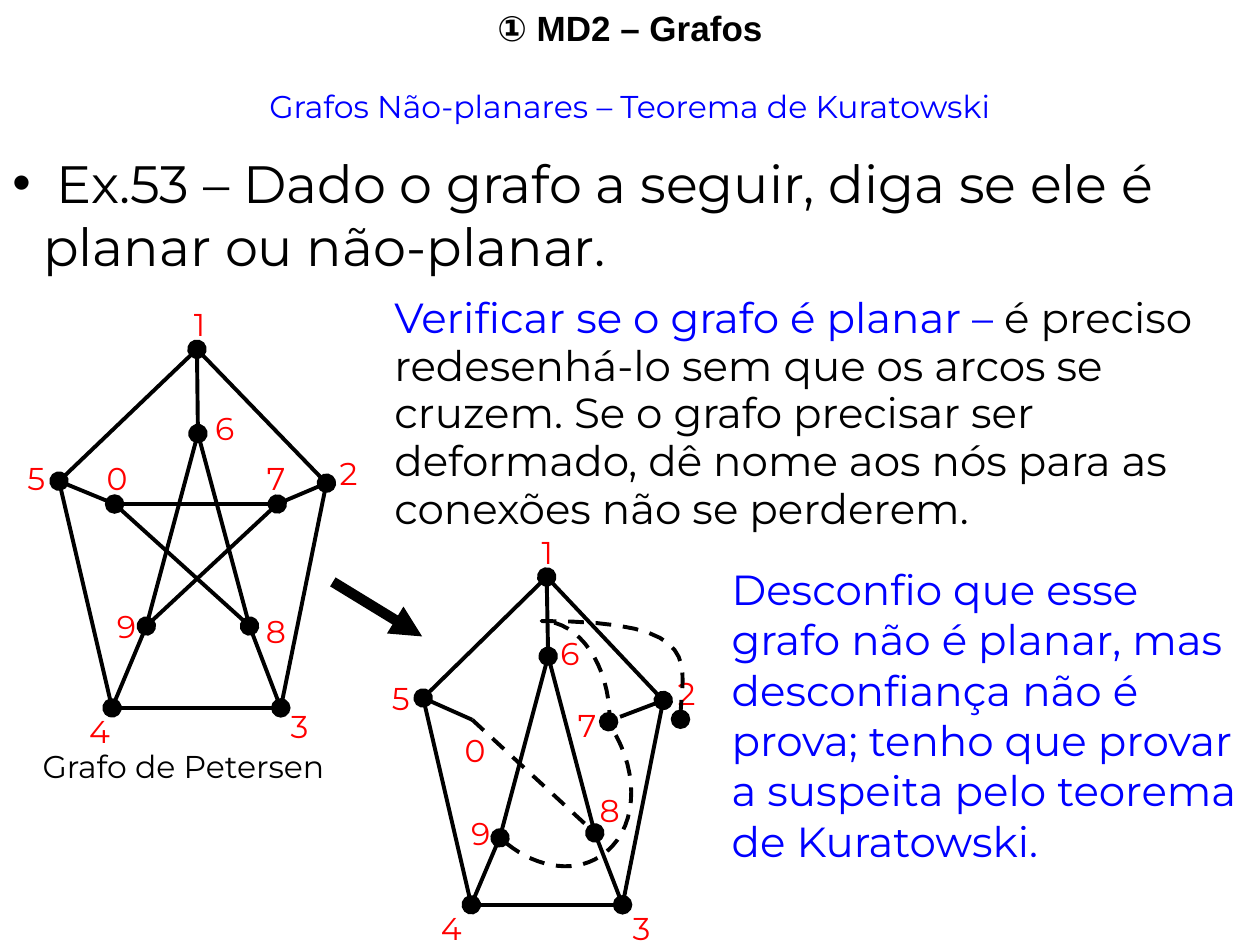
from lxml.etree import SubElement
from pptx import Presentation
from pptx.dml.color import RGBColor
from pptx.enum.dml import MSO_LINE
from pptx.enum.shapes import MSO_CONNECTOR as Connector
from pptx.enum.text import PP_ALIGN as Align
from pptx.oxml.ns import qn
from pptx.util import Cm, Pt

COLORS = {"black": "000000", "blue": "0000FF", "red": "FF0000"}
FONT = "Montserrat"

# Edges as (two vertices, vertices drawn as dots)
STAR_EDGES = [("07", "0"), ("69", ""), ("68", "6"), ("79", "79"), ("08", "8")]
OUTER_EDGES = [("15", "5"), ("54", "4"), ("43", "3"), ("32", "2"), ("21", "1"),
               ("16", ""), ("50", ""), ("27", ""), ("38", ""), ("49", "")]

# Vertex name: (vertex position, label box corner), in cm
PETERSEN = {
    "1": ((3.97, 7.04), (3.53, 6.02)),
    "2": ((6.58, 9.74), (6.6, 9.02)),
    "3": ((5.66, 14.27), (5.61, 14.12)),
    "4": ((2.26, 14.27), (1.55, 14.22)),
    "5": ((1.19, 9.7), (0.3, 9.12)),
    "6": ((3.99, 8.74), (4.09, 8.13)),
    "7": ((5.59, 10.16), (5.13, 9.12)),
    "8": ((5.03, 12.62), (5.11, 12.22)),
    "9": ((2.95, 12.62), (2.11, 12.12)),
    "0": ((2.31, 10.16), (1.9, 9.12)),
}
REDRAWN = {
    "1": ((11.02, 11.63), (10.54, 10.62)),
    "2": ((13.37, 14.12), (13.41, 13.46)),
    "3": ((12.55, 18.24), (12.5, 18.21)),
    "4": ((9.5, 18.24), (8.64, 18.21)),
    "5": ((8.53, 14.07), (7.65, 13.56)),
    "6": ((11.05, 13.23), (11.05, 12.65)),
    "7": ((12.5, 14.45), (11.4, 14.1)),
    "8": ((11.99, 16.79), (11.84, 15.82)),
    "9": ((10.08, 16.87), (9.25, 16.28)),
    "0": ((9.52, 14.51), (9.12, 14.61)),
}

# Bézier arcs: a start point, then two controls and an end per segment
UPPER_ARC = [(12.29, 14.63), (12.29, 14.58), (12.29, 14.55), (12.29, 14.5),
             (12.29, 13.41), (11.68, 12.52), (10.92, 12.52),
             (14.33, 12.52), (13.72, 13.41), (13.72, 14.5)]
LOWER_ARC = [(10.08, 16.89), (10.72, 17.48), (11.53, 17.63), (12.09, 17.27),
             (12.85, 16.79), (12.93, 15.62), (12.32, 14.66),
             (12.29, 14.61), (12.27, 14.58), (12.27, 14.55)]


def add_runs(paragraph, runs, size, font=FONT, bold=False):
    for text, color in runs:
        run = paragraph.add_run()
        run.text = text
        run.font.name = font
        run.font.size = Pt(size)
        run.font.bold = bold
        run.font.color.rgb = RGBColor.from_string(COLORS[color])


def add_text(slide, box, runs, size, align=Align.LEFT, wrap=True, spacing=None, **style):
    shape = slide.shapes.add_textbox(*map(Cm, box))
    shape.text_frame.word_wrap = wrap
    paragraph = shape.text_frame.paragraphs[0]
    paragraph.alignment = align
    paragraph.line_spacing = spacing
    add_runs(paragraph, runs, size, **style)
    return shape


def add_bullet(text_frame, runs, size):
    paragraph = text_frame.add_paragraph()
    paragraph.space_before = Pt(15)
    properties = paragraph._p.get_or_add_pPr()
    properties.set("marL", str(Cm(0.62)))
    properties.set("indent", str(-Cm(0.62)))
    SubElement(properties, qn("a:buFont"), typeface="Arial")
    SubElement(properties, qn("a:buChar"), char="•")
    add_runs(paragraph, runs, size)


def style_line(shape, width=2.25, dashed=False, head=None, tail=None, end_size="lg"):
    shape.line.color.rgb = RGBColor.from_string(COLORS["black"])
    shape.line.width = Pt(width)
    if dashed:
        shape.line.dash_style = MSO_LINE.DASH
    properties = shape.element.spPr
    line = properties.find(qn("a:ln"))
    for tag, kind in (("a:headEnd", head), ("a:tailEnd", tail)):
        if kind:
            SubElement(line, qn(tag), type=kind, w=end_size, len=end_size)
    SubElement(properties, qn("a:effectLst"))


def add_line(slide, start, end, **style):
    connector = slide.shapes.add_connector(Connector.STRAIGHT, *map(Cm, start + end))
    style_line(connector, **style)


def bezier_point(points, t):
    weights = ((1 - t) ** 3, 3 * t * (1 - t) ** 2, 3 * t ** 2 * (1 - t), t ** 3)
    return tuple(Cm(sum(w * p[axis] for w, p in zip(weights, points))) for axis in (0, 1))


def add_arc(slide, points, steps=16, **style):
    outline = [bezier_point(points[i:i + 4], step / steps)
               for i in range(0, len(points) - 1, 3) for step in range(1, steps + 1)]
    builder = slide.shapes.build_freeform(*map(Cm, points[0]))
    builder.add_line_segments(outline, close=False)
    shape = builder.convert_to_shape()
    shape.fill.background()
    style_line(shape, dashed=True, **style)


def add_graph(slide, vertices, edges, dashed_edges=()):
    for edge, dots in edges:
        start, end = edge
        add_line(slide, vertices[start][0], vertices[end][0],
                 dashed=edge in dashed_edges,
                 head="oval" if start in dots else None,
                 tail="oval" if end in dots else None)
    for name, (_, corner) in vertices.items():
        add_text(slide, corner + (0.86, 1.02), [(name, "red")], 18, Align.RIGHT, wrap=False)


def main():
    presentation = Presentation()
    presentation.slide_width, presentation.slide_height = Cm(25.4), Cm(19.05)
    slide = presentation.slides.add_slide(presentation.slide_layouts[6])

    # Title, subtitle and exercise
    add_text(slide, (0, 0, 25.4, 1.12), [("① MD2 – Grafos", "black")], 20,
             Align.CENTER, font="Arial", bold=True)
    exercise = add_text(slide, (0, 1.63, 25.4, 4.09),
                        [("Grafos Não-planares – Teorema de Kuratowski", "blue")],
                        18, Align.CENTER)
    add_bullet(exercise.text_frame,
               [(" Ex.53 – Dado o grafo a seguir, diga se ele é planar ou não-planar.", "black")],
               30)

    # Explanations
    add_text(slide, (7.7, 5.82, 17.7, 5.08),
             [("Verificar se o grafo é planar – ", "blue"),
              ("é preciso redesenhá-lo sem que os arcos se cruzem. Se o grafo precisar ser "
               "deformado, dê nome aos nós para as conexões não se perderem.", "black")],
             24, spacing=0.95)
    add_text(slide, (14.5, 11.23, 10.69, 6.35),
             [("Desconfio que esse grafo não é planar, mas desconfiança não é prova; "
               "tenho que provar a suspeita pelo teorema de Kuratowski.", "blue")], 24)

    # Petersen graph
    add_graph(slide, PETERSEN, STAR_EDGES + OUTER_EDGES)
    add_text(slide, (0.61, 14.94, 6.91, 1.02), [("Grafo de Petersen", "black")], 18)

    # Redrawn graph, with two star edges turned into arcs
    redrawn_star = [edge for edge in STAR_EDGES if edge[0] not in ("07", "79")]
    add_graph(slide, REDRAWN, redrawn_star + OUTER_EDGES, dashed_edges=("08",))
    add_arc(slide, UPPER_ARC, tail="oval")
    add_arc(slide, LOWER_ARC, head="oval", tail="oval")

    # Arrow between the graphs
    add_line(slide, (6.71, 11.73), (8.51, 12.83), width=6, tail="triangle", end_size="med")

    presentation.save("out.pptx")


if __name__ == "__main__":
    main()
